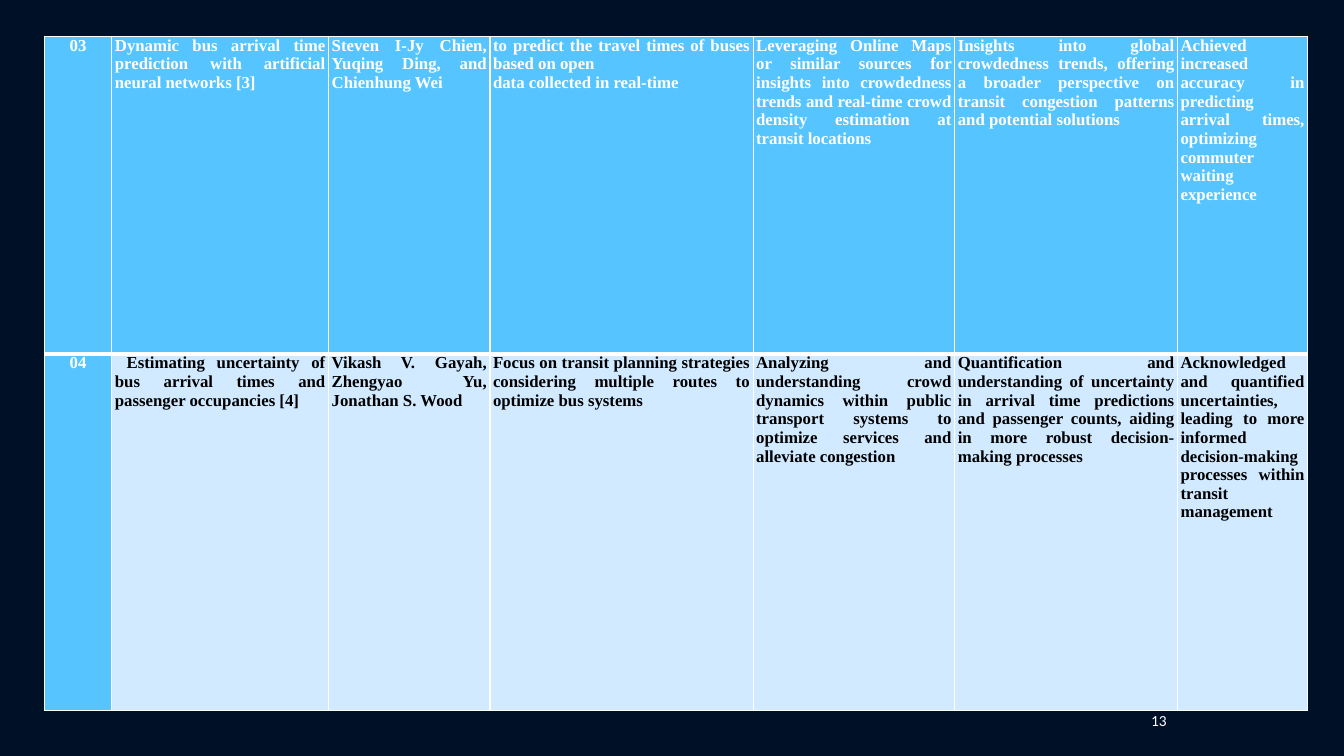
from dataclasses import dataclass

from lxml.etree import SubElement
from pptx import Presentation
from pptx.dml.color import RGBColor
from pptx.enum.text import MSO_ANCHOR as Anchor, PP_ALIGN as Align
from pptx.oxml.ns import qn
from pptx.util import Pt

PX = 9144  # EMU per px, 100 px to the inch


@dataclass(frozen=True)
class Theme:
    background: str = "001027"
    accent: str = "56C5FF"
    pale: str = "D1EAFF"
    light: str = "FFFFFF"
    dark: str = "000000"
    table_font: str = "Times New Roman"
    number_font: str = "Calibri"
    table_size: int = 12
    number_size: int = 11
    thin_line: int = 1
    thick_line: int = 3


class SlideBuilder:
    def __init__(self, prs, theme):
        self.theme = theme
        self.slide = prs.slides.add_slide(prs.slide_layouts[6])
        background = self.slide.background.fill
        background.solid()
        background.fore_color.rgb = RGBColor.from_string(theme.background)

    def fill_text(self, frame, text, font, size, color, align, bold=False):
        frame.text = text
        for paragraph in frame.paragraphs:
            paragraph.alignment = align
            for run in paragraph.runs:
                run.font.name = font
                run.font.size = Pt(size)
                run.font.bold = bold
                run.font.color.rgb = RGBColor.from_string(color)

    def borders(self, cell, top, bottom):
        thin = self.theme.thin_line
        properties = cell._tc.get_or_add_tcPr()
        for side, width in zip("LRTB", (thin, thin, top, bottom)):
            line = SubElement(properties, qn(f"a:ln{side}"), w=str(Pt(width)))
            solid = SubElement(line, qn("a:solidFill"))
            SubElement(solid, qn("a:srgbClr"), val=self.theme.light)

    def cell(self, cell, text, fill, color, align, top, bottom):
        cell.margin_left = cell.margin_right = 3 * PX
        cell.margin_top = cell.margin_bottom = 0
        self.borders(cell, top, bottom)
        cell.fill.solid()
        cell.fill.fore_color.rgb = RGBColor.from_string(fill)
        self.fill_text(cell.text_frame, text, self.theme.table_font,
                       self.theme.table_size, color, align, bold=True)

    def table(self, left, top, widths, heights, rows):
        theme = self.theme
        table = self.slide.shapes.add_table(
            len(rows), len(widths), left * PX, top * PX,
            sum(widths) * PX, sum(heights) * PX).table
        table.horz_banding = False
        for column, width in zip(table.columns, widths):
            column.width = width * PX
        for r, (height, texts) in enumerate(zip(heights, rows)):
            table.rows[r].height = height * PX
            # The thick rule divides the first row from the second
            above = theme.thick_line if r == 1 else theme.thin_line
            below = theme.thick_line if r == 0 else theme.thin_line
            for c, text in enumerate(texts):
                strong = r == 0 or c == 0
                self.cell(table.cell(r, c), text,
                          theme.accent if strong else theme.pale,
                          theme.light if strong else theme.dark,
                          Align.CENTER if c == 0 else Align.JUSTIFY,
                          above, below)

    def page_number(self, left, top, width, height, text):
        frame = self.slide.shapes.add_textbox(
            left * PX, top * PX, width * PX, height * PX).text_frame
        frame.word_wrap = True
        frame.vertical_anchor = Anchor.MIDDLE
        self.fill_text(frame, text, self.theme.number_font,
                       self.theme.number_size, self.theme.light, Align.RIGHT)


PAPERS = [
    ["03",
     "Dynamic bus arrival time prediction with artificial neural networks [3]",
     "Steven I-Jy Chien, Yuqing Ding, and Chienhung Wei",
     "to predict the travel times of buses based on open \n"
     "data collected in real-time",
     "Leveraging Online Maps or similar sources for insights into crowdedness "
     "trends and real-time crowd density estimation at transit locations",
     "Insights into global crowdedness trends, offering a broader perspective "
     "on transit congestion patterns and potential solutions",
     "Achieved increased accuracy in predicting arrival times, optimizing "
     "commuter waiting experience"],
    ["04",
     " Estimating uncertainty of bus arrival times and passenger occupancies [4]",
     "Vikash V. Gayah, Zhengyao Yu, Jonathan S. Wood ",
     "Focus on transit planning strategies considering multiple routes to "
     "optimize bus systems",
     "Analyzing and understanding crowd dynamics within public transport "
     "systems to optimize services and alleviate congestion",
     "Quantification and understanding of uncertainty in arrival time "
     "predictions and passenger counts, aiding in more robust "
     "decision-making processes",
     "Acknowledged and quantified uncertainties, leading to more informed "
     "decision-making processes within transit management"],
]


def main():
    prs = Presentation()
    prs.slide_width, prs.slide_height = 1333 * PX, 750 * PX
    builder = SlideBuilder(prs, Theme())

    # Literature survey
    builder.table(44, 36, [67, 215, 160, 261, 200, 221, 129], [315, 354], PAPERS)

    # Footer
    builder.page_number(1075, 700, 92, 30, "13")

    prs.save("out.pptx")


if __name__ == "__main__":
    main()
